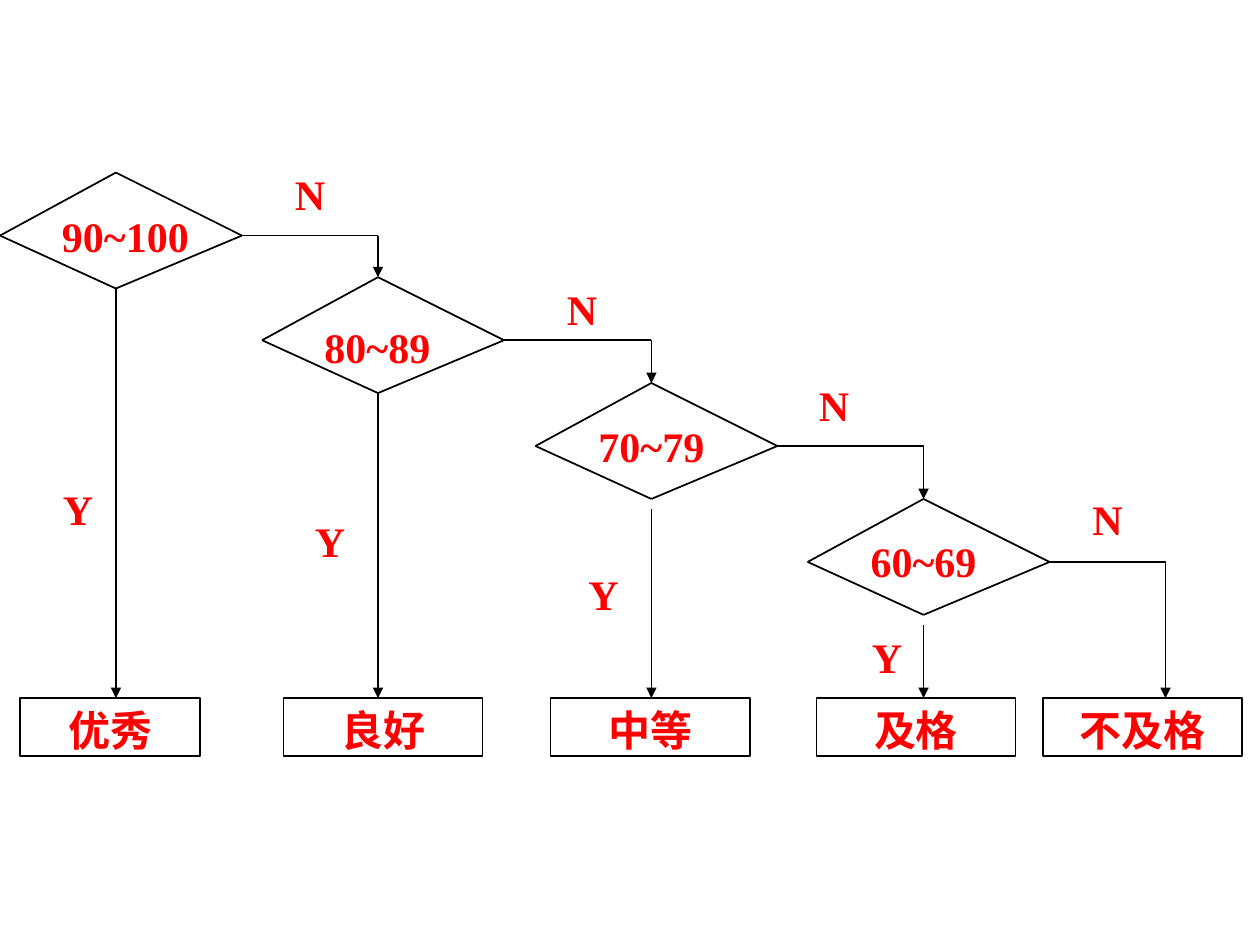
"""Build a slide with a decision flowchart that sorts scores into grades."""
from itertools import pairwise
from typing import NamedTuple

from lxml import etree
from pptx import Presentation
from pptx.dml.color import RGBColor
from pptx.enum.shapes import MSO_CONNECTOR, MSO_SHAPE
from pptx.enum.text import MSO_ANCHOR, MSO_AUTO_SIZE, PP_ALIGN
from pptx.oxml.ns import qn
from pptx.util import Inches, Pt

STRAIGHT = MSO_CONNECTOR.STRAIGHT
RECTANGLE = MSO_SHAPE.RECTANGLE
TOP = MSO_ANCHOR.TOP
GROW = MSO_AUTO_SIZE.SHAPE_TO_FIT_TEXT
CENTER = PP_ALIGN.CENTER

BLACK, RED = "000000", "FF0000"
TEXT_HEIGHT = 0.46
ANSWER_WIDTH = 0.58
GRADE_TOP = 5.54
LEFT_REACH, RIGHT_REACH = 0.92, 1.0
SIDE_DROP, DIAMOND_HEIGHT = 0.5, 0.92
FRAME_FORMAT = {
    "word_wrap": True, "auto_size": GROW, "vertical_anchor": TOP,
    "margin_left": Inches(0.02), "margin_right": Inches(0.02),
    "margin_top": Inches(0.01), "margin_bottom": Inches(0.01),
}
FONT_FORMAT = {"name": "Times New Roman", "size": Pt(24), "bold": True}


class Point(NamedTuple):
    """A position in inches."""
    x: float
    y: float


class Label(NamedTuple):
    """A text with its top left corner and width in inches."""
    text: str
    corner: Point
    width: float = ANSWER_WIDTH


class Decision(NamedTuple):
    """A score test with its answers and the gap before its yes arrow."""
    apex: Point
    score: Label
    yes: Label
    no: Label
    yes_gap: float = 0


DECISIONS = [
    Decision(Point(0.92, 1.37), Label("90~100", Point(0.42, 1.62), 1.15),
             Label("Y", Point(0.33, 3.79)), Label("N", Point(2.17, 1.29))),
    Decision(Point(3, 2.2), Label("80~89", Point(2.42, 2.5), 1.15),
             Label("Y", Point(2.33, 4.04)), Label("N", Point(4.33, 2.2))),
    Decision(Point(5.17, 3.04), Label("70~79", Point(4.67, 3.29), 1),
             Label("Y", Point(4.5, 4.46)), Label("N", Point(6.33, 2.96)), 0.08),
    Decision(Point(7.33, 3.96), Label("60~69", Point(6.83, 4.2), 1),
             Label("Y", Point(6.75, 4.96)), Label("N", Point(8.5, 3.87)), 0.08),
]
GRADES = [
    Label("优秀", Point(0.16, GRADE_TOP), 1.43),
    Label("良好", Point(2.25, GRADE_TOP), 1.58),
    Label("中等", Point(4.37, GRADE_TOP), 1.58),
    Label("及格", Point(6.48, GRADE_TOP), 1.58),
    Label("不及格", Point(8.28, GRADE_TOP), 1.58),
]
FAIL_ENTRY = Point(9.25, GRADE_TOP)


def color(value: str) -> RGBColor:
    """Return the colour of a hex string."""
    return RGBColor.from_string(value)


def draw_line(shapes, start: Point, end: Point, arrow: bool = False) -> None:
    """Draw a black line, with an arrowhead at its end if asked."""
    line = shapes.add_connector(STRAIGHT, *map(Inches, (*start, *end)))
    line.line.width = Pt(1)
    line.line.color.rgb = color(BLACK)
    properties = line.element.spPr
    if arrow:
        head = etree.SubElement(properties.find(qn("a:ln")), qn("a:tailEnd"))
        head.set("type", "triangle")
    etree.SubElement(properties, qn("a:effectLst"))


def write_label(frame, text: str) -> None:
    """Write one centred bold red line into a text frame."""
    for name, value in FRAME_FORMAT.items():
        setattr(frame, name, value)
    paragraph = frame.paragraphs[0]
    paragraph.text = text
    paragraph.alignment = CENTER
    paragraph.line_spacing = 1.1
    for name, value in FONT_FORMAT.items():
        setattr(paragraph.font, name, value)
    paragraph.font.color.rgb = color(RED)


def label_box(label: Label) -> tuple:
    """Return the left, top, width and height of a label."""
    return tuple(map(Inches, (*label.corner, label.width, TEXT_HEIGHT)))


def draw_label(shapes, label: Label) -> None:
    """Draw a label without a frame."""
    write_label(shapes.add_textbox(*label_box(label)).text_frame, label.text)


def draw_grade(shapes, grade: Label) -> None:
    """Draw a grade in an outlined box."""
    box = shapes.add_shape(RECTANGLE, *label_box(grade))
    box.shadow.inherit = False
    box.fill.background()
    box.line.color.rgb = color(BLACK)
    box.line.width = Pt(1)
    write_label(box.text_frame, grade.text)


def draw_decision(shapes, decision: Decision, next_entry: Point) -> None:
    """Draw a diamond, its labels and the arrows that leave it."""
    x, y = decision.apex
    side = y + SIDE_DROP
    left, right = Point(x - LEFT_REACH, side), Point(x + RIGHT_REACH, side)
    bottom = Point(x, y + DIAMOND_HEIGHT)
    for start, end in pairwise([decision.apex, right, bottom, left, decision.apex]):
        draw_line(shapes, start, end)
    draw_line(shapes, Point(x, bottom.y + decision.yes_gap), Point(x, GRADE_TOP), True)
    corner = Point(next_entry.x, side)
    draw_line(shapes, right, corner)
    draw_line(shapes, corner, next_entry, True)
    for label in (decision.score, decision.yes, decision.no):
        draw_label(shapes, label)


def main() -> None:
    """Build and save the presentation."""
    presentation = Presentation()
    presentation.slide_width = Inches(10)
    presentation.slide_height = Inches(7.5)
    shapes = presentation.slides.add_slide(presentation.slide_layouts[6]).shapes
    entries = [decision.apex for decision in DECISIONS[1:]] + [FAIL_ENTRY]
    for decision, next_entry in zip(DECISIONS, entries):
        draw_decision(shapes, decision, next_entry)
    for grade in GRADES:
        draw_grade(shapes, grade)
    presentation.save("out.pptx")


if __name__ == "__main__":
    main()
